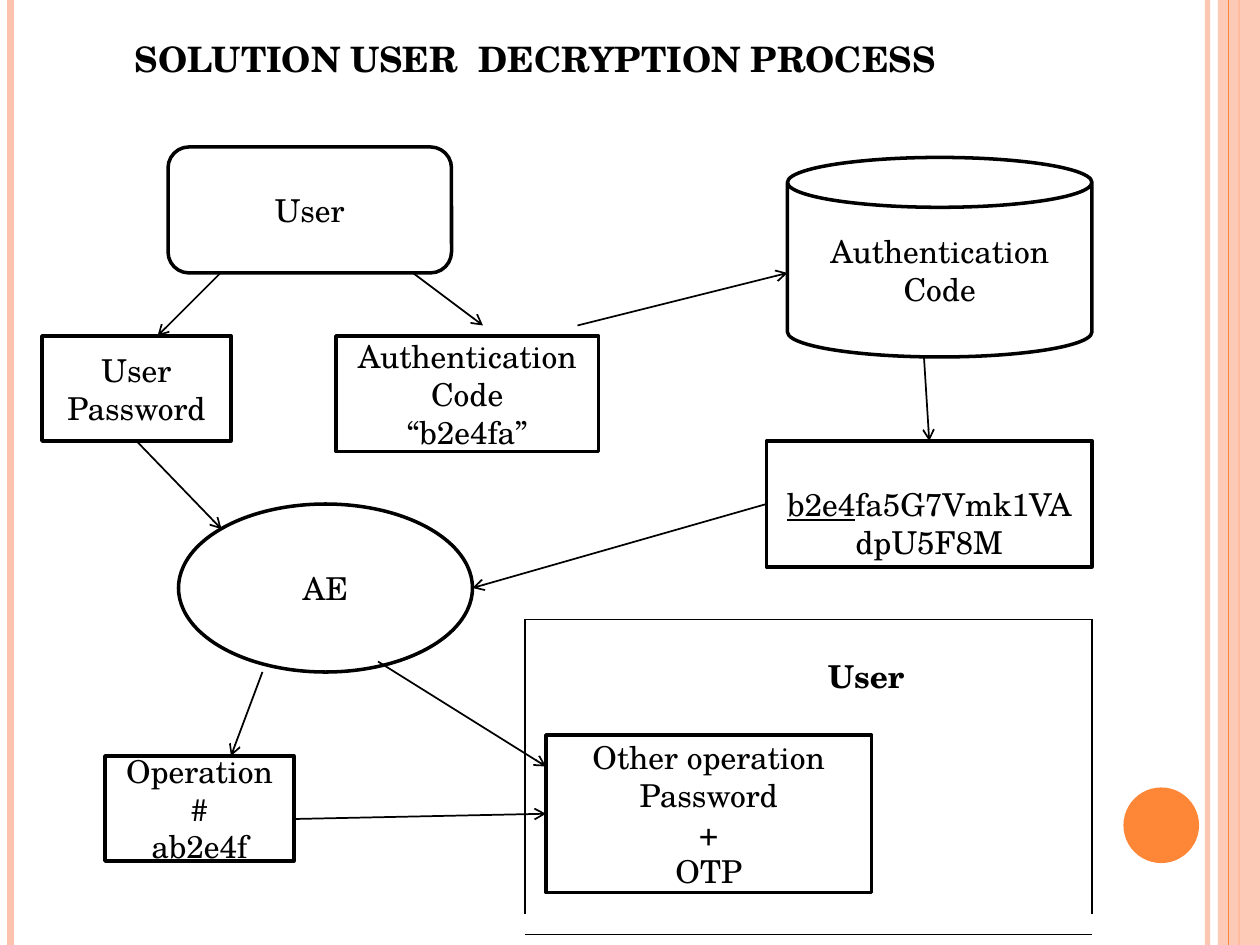
from lxml import etree
from pptx import Presentation
from pptx import util as u
from pptx.dml.color import RGBColor
from pptx.enum import shapes, text
from pptx.oxml.ns import qn

BLACK = RGBColor(0x00, 0x00, 0x00)
WHITE = RGBColor(0xFF, 0xFF, 0xFF)
ORANGE = RGBColor(0xFE, 0x86, 0x37)
PEACH = RGBColor(0xFE, 0xC3, 0xAE)
FONT = "TeX Gyre Schola"
CELL = 1 / 12  # grid pitch in inches: 120 columns by 90 rows
COLS, ROWS = 120, 90
BOX, ROUND, OVAL, CAN = (shapes.MSO_SHAPE.RECTANGLE, shapes.MSO_SHAPE.ROUNDED_RECTANGLE,
                         shapes.MSO_SHAPE.OVAL, shapes.MSO_SHAPE.CAN)


def grid(*cells):
    return [u.Inches(cell * CELL) for cell in cells]


def set_alpha(fill_parent, percent):
    color = fill_parent.find(".//" + qn("a:srgbClr"))
    etree.SubElement(color, qn("a:alpha"), val=str(percent * 1000))


class Diagram:
    """Holds the style and the current slide; all lengths are grid cells."""

    font = {"name": FONT, "size": u.Pt(18), "bold": False}

    def __init__(self, slide):
        self.slide = slide

    def add_lines(self, frame, lines, **changes):
        """Each line is a list of (words, underlined) runs or a plain string."""
        frame.word_wrap = True
        for i, line in enumerate(lines):
            paragraph = frame.paragraphs[0] if i == 0 else frame.add_paragraph()
            paragraph.alignment = text.PP_ALIGN.CENTER
            for words, underlined in ([(line, None)] if isinstance(line, str) else line):
                run = paragraph.add_run()
                run.text = words
                for key, value in {**self.font, "underline": underlined, **changes}.items():
                    setattr(run.font, key, value)
                run.font.color.rgb = BLACK

    def shape(self, kind, place, fill, alpha=None):
        shape = self.slide.shapes.add_shape(kind, *grid(*place))
        shape.shadow.inherit = False
        shape.fill.solid()
        shape.fill.fore_color.rgb = fill
        shape.line.fill.background()
        if alpha:
            set_alpha(shape._element.spPr, alpha)
        return shape

    def node(self, kind, place, *lines, top_rows=0.6):
        shape = self.shape(kind, place, WHITE)
        shape.line.color.rgb = BLACK
        shape.line.width = u.Pt(2)
        shape.text_frame.vertical_anchor = text.MSO_ANCHOR.MIDDLE
        shape.text_frame.margin_top = grid(top_rows)[0]
        self.add_lines(shape.text_frame, lines)

    def label(self, place, words, **changes):
        box = self.slide.shapes.add_textbox(*grid(*place))
        self.add_lines(box.text_frame, [words], bold=True, **changes)

    def line(self, ends, color=BLACK, width=1, alpha=None):
        line = self.slide.shapes.add_connector(shapes.MSO_CONNECTOR.STRAIGHT, *grid(*ends))
        line.line.color.rgb = color
        line.line.width = u.Pt(width)
        if alpha:
            set_alpha(line._element.spPr, alpha)
        etree.SubElement(line._element.spPr, qn("a:effectLst"))
        return line

    def arrow(self, *ends):
        outline = self.line(ends).line._get_or_add_ln()
        etree.SubElement(outline, qn("a:tailEnd"), type="arrow")


def main():
    deck = Presentation()
    deck.slide_width, deck.slide_height = grid(COLS, ROWS)
    d = Diagram(deck.slides.add_slide(deck.slide_layouts[6]))

    # Side stripes and orange dot
    def stripe(x, color, width, alpha=None):
        d.line((x, 0, x, ROWS), color, width, alpha)

    stripe(115, PEACH, 3, 93)
    stripe(1, PEACH, 4.5)
    stripe(118, ORANGE, 1.5)
    d.shape(BOX, (116, 0, 4, ROWS), PEACH, 87)
    stripe(117, ORANGE, 0.75)
    d.shape(OVAL, (107, 75, 7.2, 7.2), ORANGE)

    # Passwords, codes and the AE step
    d.node(BOX, (4, 32, 18, 10), "User Password")
    d.node(BOX, (52, 70, 31, 15), "Other operation", "Password", "+", "OTP")
    d.node(BOX, (32, 32, 25, 11), "Authentication Code", "“b2e4fa”")
    d.node(BOX, (73, 42, 31, 12), [("b2e4", True), ("fa5G7Vmk1VAdpU5F8M", False)],
           top_rows=4.2)
    d.node(CAN, (75, 15, 29, 19), "Authentication", "Code")
    d.node(OVAL, (17, 48, 28, 16), "AE")

    # Arrows of the flow; those leaving the user start behind its box
    for ends in [(55, 31, 75, 26), (73, 48, 45, 56), (25, 64, 22, 72),
                 (13, 42, 21.1, 50.4), (27, 20, 15, 32), (30, 19, 46, 31),
                 (88, 34, 88.5, 42)]:
        d.arrow(*ends)
    d.node(ROUND, (16, 14, 27, 12), "User")

    d.label((11, 3, 80, 5.25), "SOLUTION USER  DECRYPTION PROCESS", size=u.Pt(20))

    d.node(BOX, (10, 72, 18, 10), "Operation#", "ab2e4f")
    d.arrow(28, 78, 52, 77.5)

    # Open frame around the user's result
    left, top, right, side_end, bottom = 50, 59, 104, 87, 89
    for ends in [(left, top, right, top), (left, top, left, side_end),
                 (left, bottom, right, bottom), (right, side_end, right, top)]:
        d.line(ends)
    d.label((65, 62, 35, 4.85), "User")
    d.arrow(36, 63, 52, 73)

    deck.save("out.pptx")


if __name__ == "__main__":
    main()
